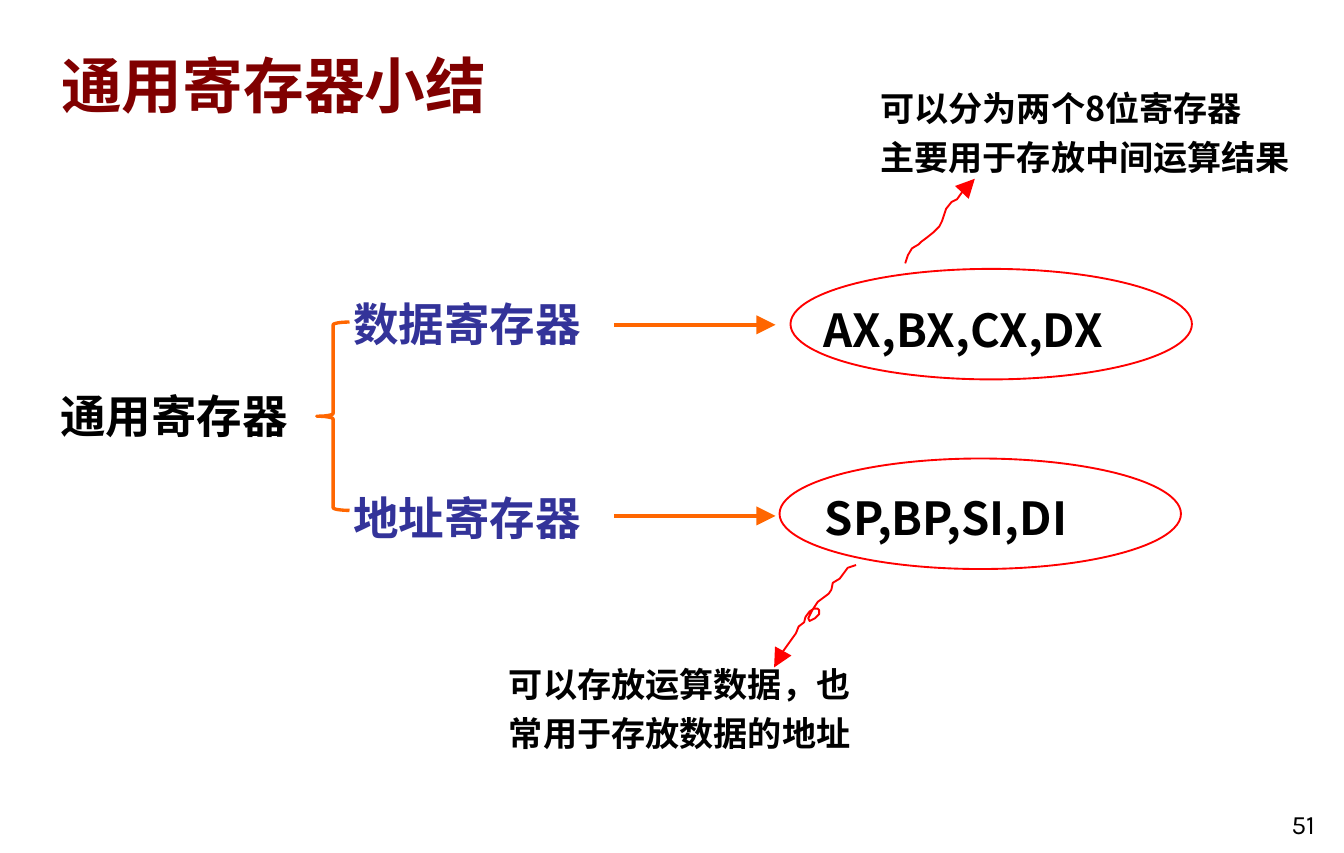
from dataclasses import dataclass

import pptx
import pptx.util
from pptx.dml.color import RGBColor
from pptx.enum.shapes import MSO_CONNECTOR, MSO_SHAPE
from pptx.enum.text import MSO_ANCHOR, PP_ALIGN
from pptx.oxml.ns import qn
from pptx.util import Inches
from lxml import etree


@dataclass(frozen=True)
class Theme:
    cjk: str = "Noto Sans CJK SC"
    latin: str = "Karla"
    title_color: str = "800000"
    group_color: str = "333399"
    ink: str = "000000"
    branch: str = "FF6600"
    callout: str = "FF0000"
    title: int = 32
    body: int = 24
    note: int = 18
    number: int = 14


THEME = Theme()

UPPER_SQUIGGLE = [
    (6.63, 1.93), (6.65, 1.87), (6.68, 1.82), (6.73, 1.79), (6.75, 1.77),
    (6.79, 1.74), (6.84, 1.7), (6.88, 1.66), (6.9, 1.62), (6.93, 1.53),
    (6.97, 1.48), (7.01, 1.46), (7.06, 1.39), (7.11, 1.35), (7.14, 1.31),
]
LOWER_SQUIGGLE = [
    (6.27, 4.14), (6.21, 4.16), (6.18, 4.2), (6.15, 4.24), (6.1, 4.27),
    (6.09, 4.32), (6.07, 4.35), (5.99, 4.41), (5.95, 4.47), (5.92, 4.53),
    (5.93, 4.55), (5.97, 4.53), (6, 4.5), (6, 4.47), (5.99, 4.46),
    (5.96, 4.46), (5.93, 4.48), (5.9, 4.52), (5.89, 4.56), (5.85, 4.59),
    (5.83, 4.64), (5.78, 4.71), (5.73, 4.78), (5.71, 4.82), (5.68, 4.86),
    (5.67, 4.89),
]


def add_text(page, area, lines, size, color=THEME.ink, font=THEME.cjk, bold=True,
             align=PP_ALIGN.LEFT, anchor=MSO_ANCHOR.TOP, spacing=1.2):
    box = page.shapes.add_textbox(*map(Inches, area))
    frame = box.text_frame
    frame.word_wrap = True
    frame.vertical_anchor = anchor
    for index, line in enumerate(lines):
        para = frame.add_paragraph() if index else frame.paragraphs[0]
        para.alignment = align
        para.line_spacing = spacing
        span = para.add_run()
        span.text = line
        span.font.size = pptx.util.Pt(size)
        span.font.bold = bold
        span.font.name = font
        span.font.color.rgb = RGBColor.from_string(color)
        east_asian = etree.SubElement(span.font._element, qn("a:ea"))
        east_asian.set("typeface", font)


def style_line(item, color, width, arrow=False):
    item.line.color.rgb = RGBColor.from_string(color)
    item.line.width = pptx.util.Pt(width)
    if arrow:
        etree.SubElement(item.line._get_or_add_ln(), qn("a:tailEnd"),
                         {"type": "triangle", "w": "lg", "len": "lg"})


def add_outline(page, kind, area, color, width):
    shape = page.shapes.add_shape(kind, *map(Inches, area))
    shape.shadow.inherit = False
    shape.fill.background()
    style_line(shape, color, width)
    return shape


def add_arrow(page, left, right, y):
    arrow = page.shapes.add_connector(
        MSO_CONNECTOR.STRAIGHT, Inches(left), Inches(y), Inches(right), Inches(y))
    style_line(arrow, THEME.branch, 2, arrow=True)
    etree.SubElement(arrow._element.spPr, qn("a:effectLst"))


def add_squiggle(page, points):
    start, *rest = [(Inches(x), Inches(y)) for x, y in points]
    builder = page.shapes.build_freeform(*start)
    builder.add_line_segments(rest, close=False)
    squiggle = builder.convert_to_shape()
    squiggle.shadow.inherit = False
    squiggle.fill.background()
    style_line(squiggle, THEME.callout, 1, arrow=True)


def main():
    deck = pptx.Presentation()
    deck.slide_width = Inches(945 / 96)
    deck.slide_height = Inches(6.25)
    page = deck.slides.add_slide(deck.slide_layouts[6])

    add_text(page, (0.35, 0.21, 8.39, 0.72), ["通用寄存器小结"], THEME.title,
             THEME.title_color, anchor=MSO_ANCHOR.BOTTOM, spacing=1.0)
    add_text(page, (0.04, 2.75, 2.47, 0.5), ["通用寄存器"], THEME.body,
             align=PP_ALIGN.CENTER, anchor=MSO_ANCHOR.MIDDLE)
    add_text(page, (9.11, 5.78, 0.62, 0.42), ["51"], THEME.number, font=THEME.latin,
             bold=False, align=PP_ALIGN.RIGHT, anchor=MSO_ANCHOR.BOTTOM, spacing=1.0)

    brace = add_outline(page, MSO_SHAPE.LEFT_BRACE, (2.32, 2.36, 0.24, 1.38),
                        THEME.branch, 1.75)
    brace.adjustments[0] = 0.083

    groups = [
        ("数据寄存器", (2.49, 2.04, 2.71, 0.74), 2.38,
         "AX,BX,CX,DX", (5.54, 2.08, 3.03, 0.62), (5.79, 1.97)),
        ("地址寄存器", (2.49, 3.46, 2.58, 0.63), 3.78,
         "SP,BP,SI,DI", (5.63, 3.46, 2.6, 0.63), (5.71, 3.36)),
    ]
    for name, name_area, arrow_y, registers, registers_area, corner in groups:
        add_text(page, name_area, [name], THEME.body, THEME.group_color)
        add_text(page, registers_area, [registers], THEME.body, align=PP_ALIGN.CENTER)
        add_arrow(page, 4.5, 5.68, arrow_y)
        add_outline(page, MSO_SHAPE.OVAL, (*corner, 2.94, 0.81), THEME.callout, 1)

    add_text(page, (6.35, 0.53, 3.29, 0.83),
             ["可以分为两个8位寄存器", "主要用于存放中间运算结果"], THEME.note)
    add_text(page, (3.63, 4.75, 2.87, 0.83),
             ["可以存放运算数据，也常用于存放数据的地址"], THEME.note)
    add_squiggle(page, UPPER_SQUIGGLE)
    add_squiggle(page, LOWER_SQUIGGLE)

    deck.save("out.pptx")


if __name__ == "__main__":
    main()
